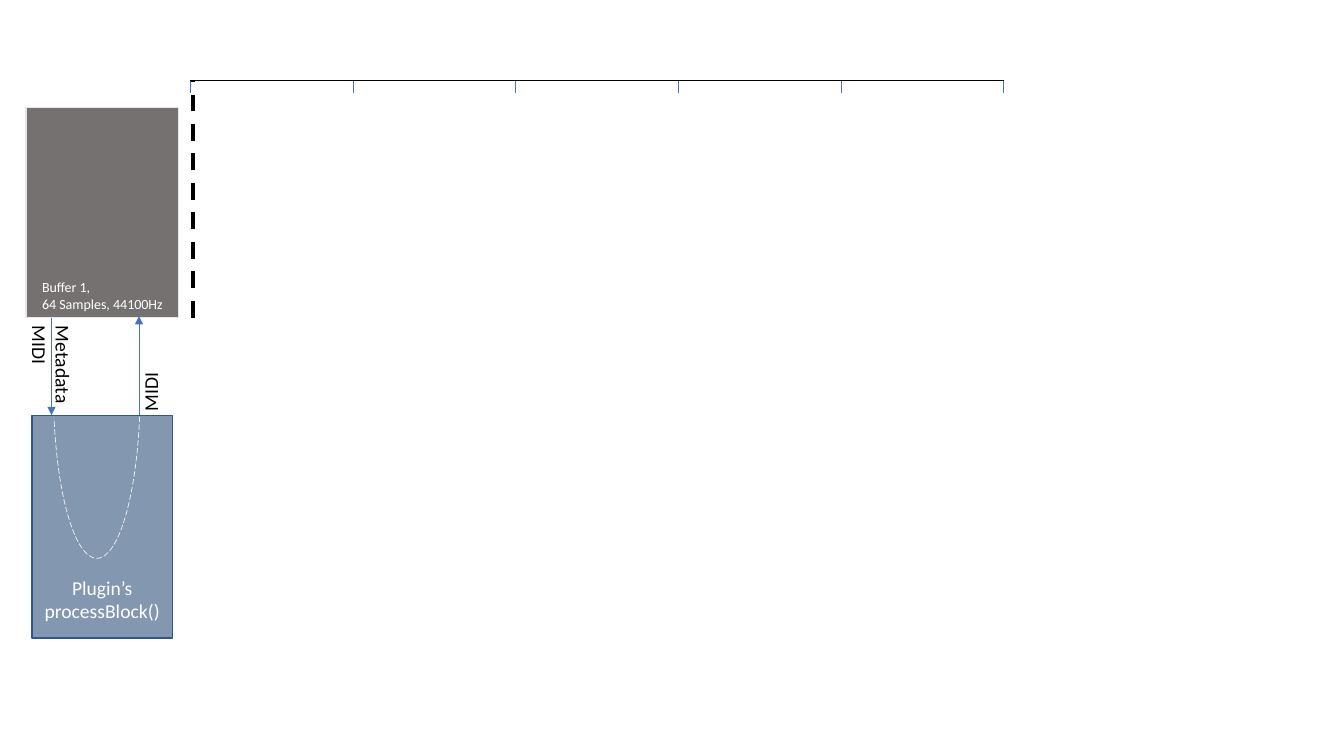
from lxml import etree
from pptx import Presentation
from pptx.dml.color import RGBColor
from pptx.enum.dml import MSO_LINE
from pptx.enum.shapes import MSO_CONNECTOR, MSO_SHAPE
from pptx.enum.text import MSO_ANCHOR as Anchor, PP_ALIGN as Align
from pptx.oxml.ns import qn
from pptx.util import Pt

BLUE, BLACK, WHITE = "4472C4", "000000", "FFFFFF"
TICK_COUNT = 6


def paint(color_format, hex_color):
    color_format.rgb = RGBColor.from_string(hex_color)


def style_line(line, color, width, dash=None):
    paint(line.color, color)
    line.width = Pt(width)
    if dash:
        line.dash_style = dash


def add_line(slide, start, end, color, width, dash=None, arrow=False):
    points = [Pt(value) for value in (*start, *end)]
    connector = slide.shapes.add_connector(MSO_CONNECTOR.STRAIGHT, *points)
    style_line(connector.line, color, width, dash)
    properties = connector._element.spPr
    if arrow:
        tail = etree.SubElement(properties.find(qn("a:ln")), qn("a:tailEnd"))
        tail.set("type", "triangle")
    etree.SubElement(properties, qn("a:effectLst"))


def write_lines(shape, lines, size, color, align=Align.LEFT, anchor=Anchor.TOP,
                wrap=True, left=7.2, right=7.2, bottom=3.6):
    frame = shape.text_frame
    frame.word_wrap = wrap
    frame.vertical_anchor = anchor
    frame.margin_left, frame.margin_right = Pt(left), Pt(right)
    frame.margin_bottom = Pt(bottom)
    for index, text in enumerate(lines):
        paragraph = frame.add_paragraph() if index else frame.paragraphs[0]
        paragraph.alignment = align
        run = paragraph.add_run()
        run.text = text
        run.font.name = "Calibri"
        run.font.size = Pt(size)
        paint(run.font.color, color)


def add_block(slide, box, fill, outline):
    shape = slide.shapes.add_shape(MSO_SHAPE.RECTANGLE, *map(Pt, box))
    shape.shadow.inherit = False
    shape.fill.solid()
    paint(shape.fill.fore_color, fill)
    style_line(shape.line, outline, 1)
    return shape


def add_rotated_label(slide, box, rotation, lines, **text_options):
    label = slide.shapes.add_textbox(*map(Pt, box))
    label.rotation = rotation
    write_lines(label, lines, 14, BLACK, wrap=False, **text_options)


def add_buffer(slide, box):
    block = add_block(slide, box, "767171", "E7E6E6")
    write_lines(block, ["Buffer 1,", "64 Samples, 44100Hz"], 10, WHITE,
                anchor=Anchor.BOTTOM, left=11.3, right=4)


def add_timeline(slide, left, top, width, playhead_height):
    """Ruler with evenly spaced ticks and a dashed playhead at its start."""
    add_line(slide, (left, top), (left + width, top), BLACK, 1)
    for index in range(TICK_COUNT):
        x = left + index * width / (TICK_COUNT - 1)
        add_line(slide, (x, top + 9), (x, top), BLUE, 0.5)
    playhead = left + 1.7
    add_line(slide, (playhead, top + playhead_height), (playhead, top),
             BLACK, 3, MSO_LINE.DASH)


def add_plugin(slide, box):
    """Plugin block with the dashed arc that returns the data."""
    block = add_block(slide, box, "8497B0", "325491")
    write_lines(block, ["Plugin’s", "processBlock()"], 14, WHITE, Align.CENTER,
                Anchor.BOTTOM, left=3.6, right=3.6, bottom=11)
    left, top = box[:2]
    arc_box = (left + 15.2, top - 138.3, 61.9, 240.5)
    arc = slide.shapes.add_shape(MSO_SHAPE.ARC, *map(Pt, arc_box))
    arc.rotation = 180
    arc.adjustments[0], arc.adjustments[1] = 127.081, 195.756
    arc.shadow.inherit = False
    arc.fill.background()
    style_line(arc.line, "F2F2F2", 0.5, MSO_LINE.LONG_DASH)


def add_exchange(slide, left, top, width, height):
    """Arrows between buffer and plugin, each with its rotated label."""
    right, bottom = left + width, top + height
    label_top = top + 13.7
    add_rotated_label(slide, (left - 35.3, label_top, 70.6, 41), 90,
                      ["Metadata", "MIDI"])
    add_line(slide, (left, top), (left, bottom), BLUE, 0.5, arrow=True)
    add_rotated_label(slide, (right - 43.7, label_top, 86.4, 41), 270,
                      ["MIDI"], anchor=Anchor.BOTTOM, left=10.4)
    add_line(slide, (right, bottom), (right, top - 1), BLUE, 0.5, arrow=True)


def main():
    presentation = Presentation()
    presentation.slide_width, presentation.slide_height = Pt(960), Pt(540)
    slide = presentation.slides.add_slide(presentation.slide_layouts[6])
    add_buffer(slide, (18.7, 77, 108.7, 149.8))
    add_timeline(slide, 136, 57.6, 581, 169.2)
    add_plugin(slide, (23, 296.6, 100.1, 159.1))
    add_exchange(slide, 36.8, 226.8, 62.5, 69.8)
    presentation.save("out.pptx")


if __name__ == "__main__":
    main()
